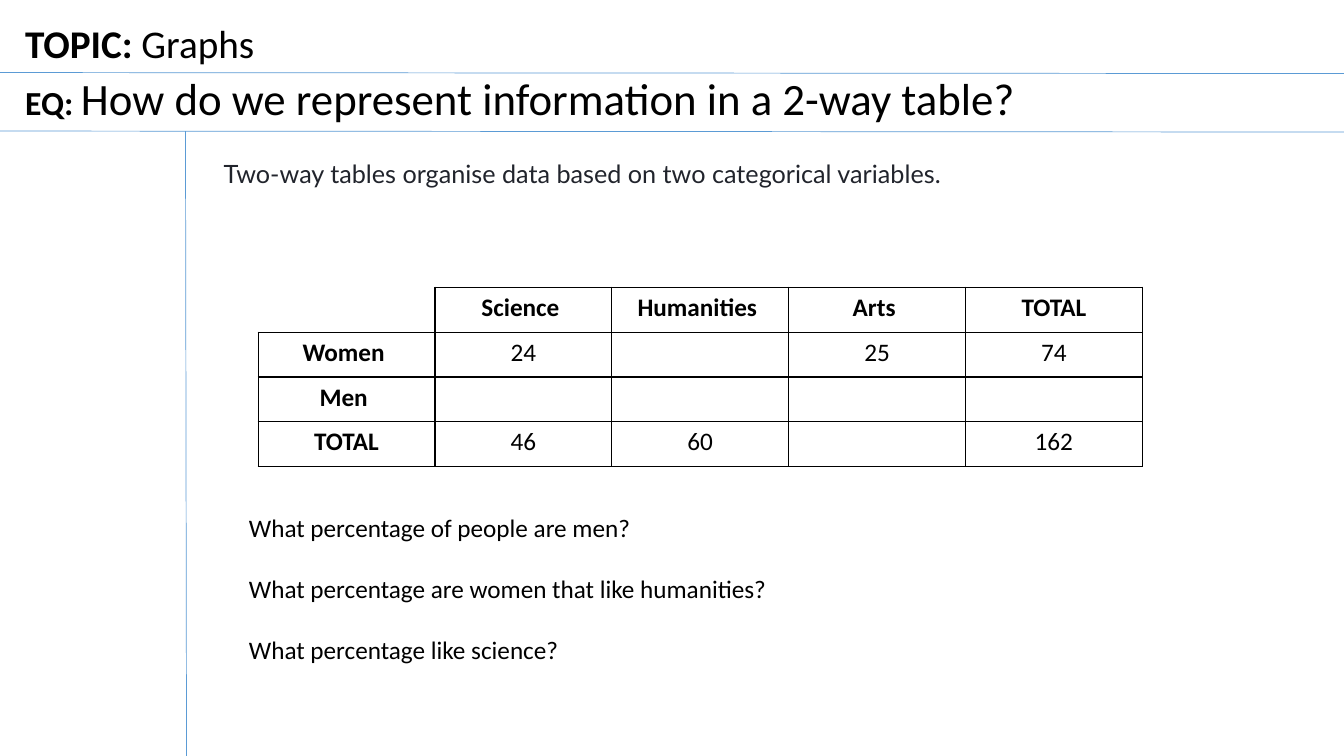
"""Build a lesson slide about two-way tables."""
from dataclasses import dataclass

from lxml.etree import SubElement
from pptx import Presentation
from pptx.dml.color import RGBColor
from pptx.enum.shapes import MSO_CONNECTOR
from pptx.enum.text import MSO_ANCHOR, MSO_AUTO_SIZE, PP_ALIGN
from pptx.oxml.ns import qn
from pptx.slide import Slide
from pptx.table import _Cell
from pptx.text.text import TextFrame
from pptx.util import Emu, Pt

PX = 9144
BLACK = RGBColor(0x00, 0x00, 0x00)
CHARCOAL = RGBColor(0x21, 0x24, 0x2C)
WHITE = RGBColor(0xFF, 0xFF, 0xFF)
RULE_BLUE = RGBColor(0x5B, 0x9B, 0xD5)


@dataclass(frozen=True)
class Run:
    text: str
    size: int = 18
    bold: bool = False


@dataclass(frozen=True)
class Box:
    left: int
    top: int
    width: int
    height: int

    def emu(self) -> tuple[Emu, ...]:
        return tuple(px(n) for n in (self.left, self.top, self.width, self.height))


@dataclass(frozen=True)
class Rule:
    x1: int
    y1: int
    x2: int
    y2: int


RULES = (
    Rule(0, 72, 1333, 73),
    Rule(0, 130, 1340, 131),
    Rule(184, 130, 185, 750),
)
SURVEY = (
    ("", "Science ", "Humanities ", "Arts ", "TOTAL"),
    ("Women ", "24", "", "25", "74"),
    ("Men ", "", "", "", ""),
    ("TOTAL", "46", "60", "", "162"),
)
SURVEY_BOX = Box(256, 285, 877, 178)
QUESTIONS = (
    "What percentage of people are men?",
    "What percentage are women that like humanities?",
    "What percentage like science?",
)


def px(length: int) -> Emu:
    return Emu(length * PX)


def write(frame: TextFrame, *paragraphs: tuple[Run, ...], font: str = "Calibri",
          color: RGBColor = BLACK, align: PP_ALIGN = PP_ALIGN.LEFT,
          gap: int = 0, line_spacing: float = 1.0) -> None:
    for index, runs in enumerate(paragraphs):
        paragraph = frame.add_paragraph() if index else frame.paragraphs[0]
        paragraph.alignment = align
        paragraph.line_spacing = line_spacing
        paragraph.space_before = Pt(gap if index else 0)
        for item in runs:
            run = paragraph.add_run()
            run.text = item.text
            run.font.name = font
            run.font.size = Pt(item.size)
            run.font.bold = item.bold
            run.font.color.rgb = color


def add_text_box(slide: Slide, box: Box, wrap: bool = True) -> TextFrame:
    frame = slide.shapes.add_textbox(*box.emu()).text_frame
    frame.word_wrap = wrap
    frame.auto_size = MSO_AUTO_SIZE.SHAPE_TO_FIT_TEXT
    return frame


def add_rule(slide: Slide, rule: Rule) -> None:
    line = slide.shapes.add_connector(
        MSO_CONNECTOR.STRAIGHT, px(rule.x1), px(rule.y1), px(rule.x2), px(rule.y2))
    line.line.color.rgb = RULE_BLUE
    line.line.width = Pt(0.5)
    SubElement(line._element.spPr, qn("a:effectLst"))


def set_borders(cell: _Cell, drawn: str) -> None:
    properties = cell._tc.get_or_add_tcPr()
    for side in "LRTB":
        border = SubElement(properties, qn(f"a:ln{side}"), w=str(Pt(1)))
        if side in drawn:
            fill = SubElement(border, qn("a:solidFill"))
            SubElement(fill, qn("a:srgbClr"), val=str(BLACK))
        else:
            SubElement(border, qn("a:noFill"))


def add_survey(slide: Slide) -> None:
    table = slide.shapes.add_table(
        len(SURVEY), len(SURVEY[0]), *SURVEY_BOX.emu()).table
    table.first_row = False
    table.horz_banding = False
    for r, values in enumerate(SURVEY):
        for c, value in enumerate(values):
            cell = table.cell(r, c)
            set_borders(cell, "LRTB" if r or c else "RB")
            cell.fill.solid()
            cell.fill.fore_color.rgb = WHITE
            if value:
                write(cell.text_frame, (Run(value, bold=r == 0 or c == 0),),
                      align=PP_ALIGN.CENTER)


def main() -> None:
    deck = Presentation()
    deck.slide_width, deck.slide_height = px(1333), px(750)
    slide = deck.slides.add_slide(deck.slide_layouts[5])

    essential_question = slide.shapes.title
    (essential_question.left, essential_question.top,
     essential_question.width, essential_question.height) = Box(15, 71, 1226, 58).emu()
    heading = essential_question.text_frame
    heading.auto_size = MSO_AUTO_SIZE.NONE
    heading.vertical_anchor = MSO_ANCHOR.MIDDLE
    write(heading, (Run("EQ: ", 24, True),
                    Run("How do we represent information in a 2-way table?", 32)),
          line_spacing=0.9)

    for rule in RULES:
        add_rule(slide, rule)

    topic = add_text_box(slide, Box(15, 14, 250, 57), wrap=False)
    write(topic, (Run("TOPIC: ", 28, True), Run("Graphs", 28)))

    definition = add_text_box(slide, Box(212, 152, 1021, 40))
    write(definition,
          (Run("Two-way tables organise data based on two categorical variables."),),
          font="Lato", color=CHARCOAL)

    add_survey(slide)

    questions = add_text_box(slide, Box(237, 503, 901, 162))
    write(questions, *((Run(question),) for question in QUESTIONS), gap=22)

    deck.save("out.pptx")


if __name__ == "__main__":
    main()
